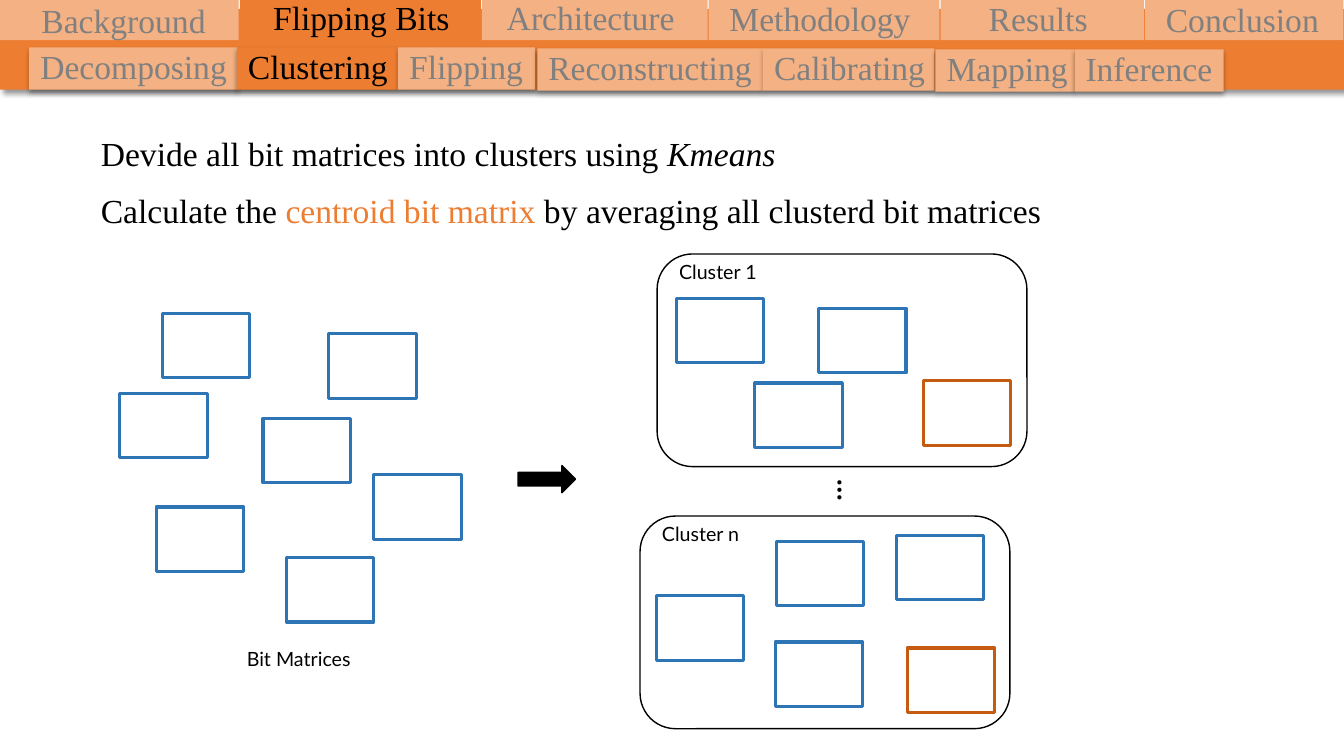
import lxml.etree
import pptx
import pptx.dml.color
import pptx.enum.shapes
import pptx.enum.text
import pptx.oxml.ns
import pptx.util
from dataclasses import dataclass

Pt = pptx.util.Pt
ShapeType = pptx.enum.shapes.MSO_SHAPE
Align = pptx.enum.text.PP_ALIGN


@dataclass(frozen=True)
class Theme:
    accent: str = "ED7D31"
    tab: str = "F4B183"
    muted: str = "808080"
    ink: str = "000000"
    matrix: str = "2E75B6"
    centroid: str = "C55A11"
    heading_font: str = "Times New Roman"
    label_font: str = "Lato"
    heading_size: float = 24
    label_size: float = 14
    dots_size: float = 20
    thin: float = 1
    thick: float = 2.25


@dataclass(frozen=True)
class Shadow:
    """Opacity in percent, blur and distance in points, angle in degrees."""
    opacity: int
    blur: float
    distance: float
    angle: int


THEME = Theme()
BAND_SHADOW = Shadow(40, 4, 3, 45)
STEP_SHADOW = Shadow(32, 3.5, 2.2, 90)
MATRIX_SIZE = (62.6, 46.1)
CLUSTER_SIZE = (264.2, 151.9)
TAB_HEIGHT, STEP_HEIGHT, HEADING_HEIGHT, LABEL_HEIGHT = 28.8, 30.2, 36, 24.5
ACTIVE_SECTION, ACTIVE_STEP = "Flipping Bits", "Clustering"

# name, tab left, tab width, label left, label top, label width
SECTIONS = [
    ("Background", 0, 170.6, 21.6, -3.6, 133.2),
    ("Methodology", 506.2, 164.9, 504.7, -5, 162),
    ("Results", 671.8, 145.4, 676.1, -5, 131),
    ("Conclusion", 817.9, 141.8, 825.1, -4.3, 124.6),
    ("Flipping Bits", 171.4, 172.1, 180, -5.8, 156.2),
    ("Architecture", 344.2, 161.3, 344.9, -5.8, 154.1),
]
# name, left, top, width
STEPS = [
    ("Decomposing", 20.9, 33.8, 149),
    ("Clustering", 169.2, 33.8, 115.2),
    ("Flipping", 284.4, 33.8, 97.9),
    ("Reconstructing", 383.8, 34.6, 161.3),
    ("Calibrating", 545, 34.6, 122.4),
    ("Mapping", 668.2, 35.3, 99.4),
    ("Inference", 767.5, 35.3, 106.6),
]
SCATTERED = [(115.9, 223.9), (85.7, 280.8), (187.9, 298.8), (111.6, 362.2),
             (204.5, 398.2), (267.1, 339.1), (234.7, 238.3)]
# name, corner, matrix offsets from the corner, centroid offset
CLUSTERS = [
    ("Cluster 1", (469.4, 181.4),
     [(13.7, 31.7), (69.8, 92.2), (115.2, 38.9)], (190.1, 90.7)),
    ("Cluster n", (457.2, 368.6),
     [(97.2, 18), (11.5, 56.9), (96.5, 90), (182.9, 13.7)], (190.8, 94.3)),
]
STATEMENTS = [
    [("Devide all bit matrices into clusters using ", {}), ("Kmeans", {"italic": True})],
    [("Calculate the ", {}), ("centroid bit matrix ", {"color": THEME.accent}),
     ("by averaging all clusterd bit matrices", {})],
]


class SlideBuilder:
    def __init__(self, presentation, theme):
        self.theme = theme
        self.slide = presentation.slides.add_slide(presentation.slide_layouts[1])
        self.heading_format = {"name": theme.heading_font, "size": theme.heading_size,
                               "color": theme.ink, "bold": False}
        self.label_format = {"name": theme.label_font, "size": theme.label_size,
                             "color": theme.ink, "bold": False}

    def box(self, kind, left, top, width, height, fill=None, line=None,
            weight=THEME.thin, shadow=None):
        shape = self.slide.shapes.add_shape(kind, Pt(left), Pt(top), Pt(width), Pt(height))
        shape.shadow.inherit = False
        for target, color in ((shape.fill, fill), (shape.line.fill, line)):
            if color:
                target.solid()
                target.fore_color.rgb = pptx.dml.color.RGBColor.from_string(color)
            else:
                target.background()
        if line:
            shape.line.width = Pt(weight)
        if shadow:
            self.cast_shadow(shape, shadow)

    def cast_shadow(self, shape, shadow):
        qn = pptx.oxml.ns.qn
        effects = shape._element.spPr.find(qn("a:effectLst"))
        outer = lxml.etree.SubElement(
            effects, qn("a:outerShdw"), blurRad=str(int(Pt(shadow.blur))),
            dist=str(int(Pt(shadow.distance))), dir=str(shadow.angle * 60000),
            algn="ctr", rotWithShape="0")
        color = lxml.etree.SubElement(outer, qn("a:srgbClr"), val=self.theme.ink)
        lxml.etree.SubElement(color, qn("a:alpha"), val=str(shadow.opacity * 1000))

    def place(self, shape, left, top, width, height, wrap=True):
        values = {"left": left, "top": top, "width": width, "height": height}
        for name, value in values.items():
            setattr(shape, name, Pt(value))
        frame_values = {"word_wrap": wrap,
                        "auto_size": pptx.enum.text.MSO_AUTO_SIZE.NONE,
                        "vertical_anchor": pptx.enum.text.MSO_ANCHOR.TOP}
        for name, value in frame_values.items():
            setattr(shape.text_frame, name, value)

    def add_runs(self, paragraph, runs, base, align=Align.LEFT):
        """Fill a paragraph with (text, format changes) runs."""
        paragraph.alignment = align
        paragraph.line_spacing = 1.0
        for text, changes in runs:
            run = paragraph.add_run()
            run.text = text
            for name, value in {**base, **changes}.items():
                if name == "color":
                    run.font.color.rgb = pptx.dml.color.RGBColor.from_string(value)
                else:
                    setattr(run.font, name, Pt(value) if name == "size" else value)

    def label(self, text, left, top, width, height, base, align=Align.LEFT, wrap=True):
        shape = self.slide.shapes.add_textbox(0, 0, 0, 0)
        self.place(shape, left, top, width, height, wrap)
        self.add_runs(shape.text_frame.paragraphs[0], [(text, {})], base, align)
        return shape

    def title(self, text, left, top, width, height):
        """Put the title in front of the tab drawn just before it."""
        shape = self.slide.shapes.title
        self.slide.shapes._spTree.append(shape._element)
        self.place(shape, left, top, width, height)
        self.add_runs(shape.text_frame.paragraphs[0], [(text, {})],
                      self.heading_format, Align.CENTER)

    def body(self, statements, left, top, width, height, gap):
        shape = self.slide.placeholders[1]
        self.place(shape, left, top, width, height)
        frame = shape.text_frame
        for index, runs in enumerate(statements):
            paragraph = frame.add_paragraph() if index else frame.paragraphs[0]
            properties = paragraph._p.get_or_add_pPr()
            properties.set("marL", "0")
            properties.set("indent", "0")
            lxml.etree.SubElement(properties, pptx.oxml.ns.qn("a:buNone"))
            paragraph.space_before = Pt(gap if index else 0)
            self.add_runs(paragraph, runs, self.heading_format)

    def section_tab(self, name, left, width, *label_place):
        active = name == ACTIVE_SECTION
        self.box(ShapeType.RECTANGLE, left, 0, width, TAB_HEIGHT,
                 fill=self.theme.accent if active else self.theme.tab)
        if active:
            self.title(name, *label_place, HEADING_HEIGHT)
        else:
            muted = {**self.heading_format, "color": self.theme.muted}
            self.label(name, *label_place, HEADING_HEIGHT, muted, Align.CENTER)

    def step_tab(self, name, left, top, width):
        active = name == ACTIVE_STEP
        self.box(ShapeType.RECTANGLE, left, top, width, STEP_HEIGHT, shadow=STEP_SHADOW,
                 fill=self.theme.accent if active else self.theme.tab)
        color = self.theme.ink if active else self.theme.muted
        self.label(name, left + 0.8, top - 4.6, width, HEADING_HEIGHT,
                   {**self.heading_format, "color": color}, wrap=False)

    def matrix(self, left, top, color):
        self.box(ShapeType.RECTANGLE, left, top, *MATRIX_SIZE, line=color,
                 weight=self.theme.thick)

    def cluster(self, name, corner, matrices, centroid):
        left, top = corner
        self.box(ShapeType.ROUNDED_RECTANGLE, left, top, *CLUSTER_SIZE, line=self.theme.ink)
        self.label(name, left + 8.6, top + 0.4, 69.8, LABEL_HEIGHT, self.label_format)
        for across, down in matrices:
            self.matrix(left + across, top + down, self.theme.matrix)
        self.matrix(left + centroid[0], top + centroid[1], self.theme.centroid)


def main():
    presentation = pptx.Presentation()
    presentation.slide_width, presentation.slide_height = Pt(960), Pt(540)
    builder = SlideBuilder(presentation, THEME)
    builder.box(ShapeType.RECTANGLE, -0.7, 6.5, 961.2, 57.6, fill=THEME.accent,
                shadow=BAND_SHADOW)
    for section in SECTIONS:
        builder.section_tab(*section)
    for step in STEPS:
        builder.step_tab(*step)
    builder.body(STATEMENTS, 64.8, 91.4, 702.7, 75.6, gap=12)
    for left, top in SCATTERED:
        builder.matrix(left, top, THEME.matrix)
    builder.label("Bit Matrices", 169.2, 458.6, 100.1, LABEL_HEIGHT, builder.label_format)
    builder.box(ShapeType.RIGHT_ARROW, 370.1, 332.6, 41, 19.4, fill=THEME.ink, line=THEME.ink)
    for cluster in CLUSTERS:
        builder.cluster(*cluster)
    dots_format = {**builder.label_format, "size": THEME.dots_size, "bold": True}
    builder.label("…", 571, 354.2, 69.8, 31.7, dots_format).rotation = 90
    presentation.save("out.pptx")


if __name__ == "__main__":
    main()
